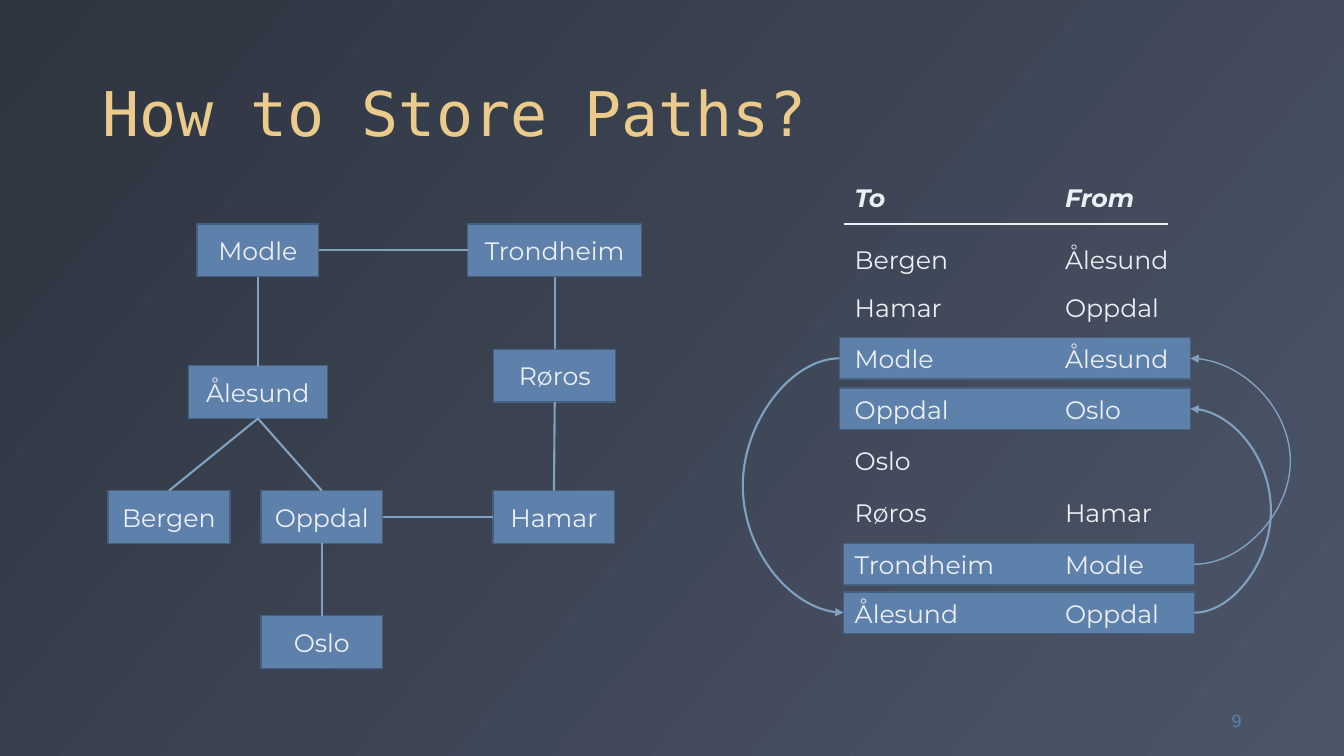
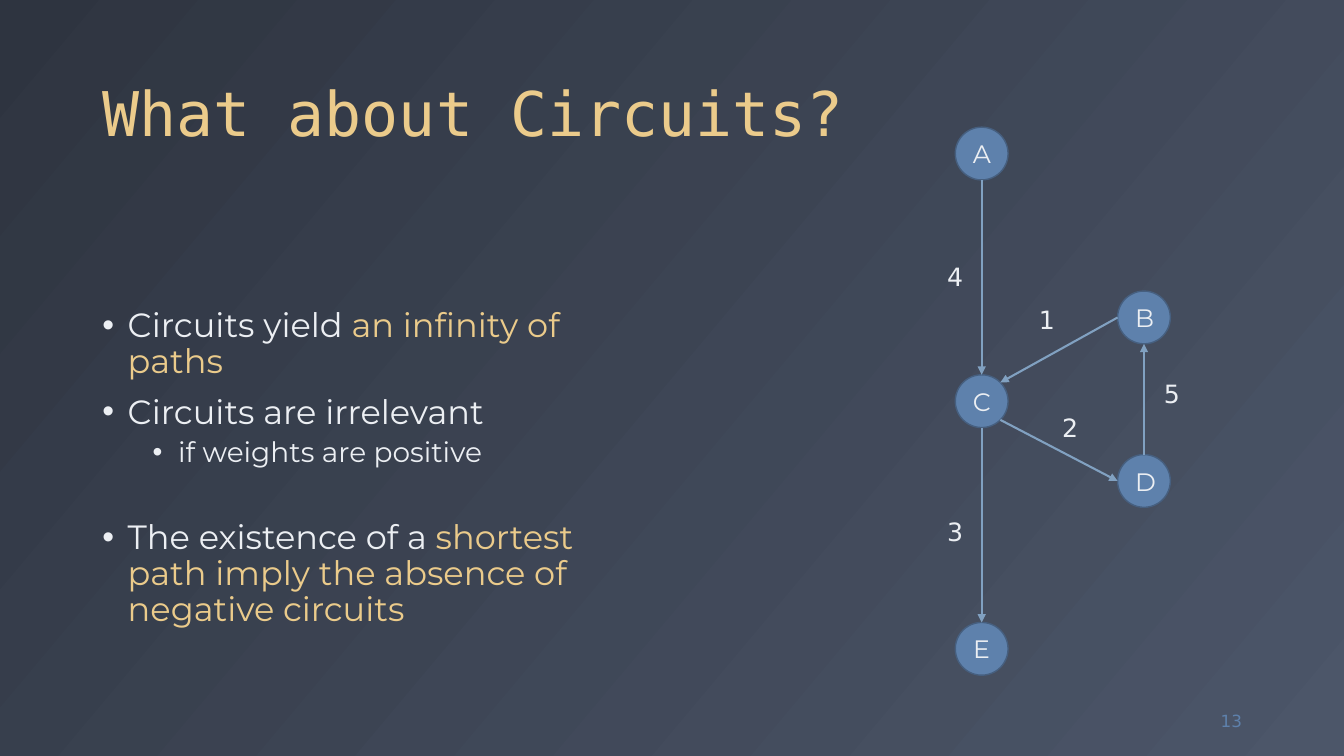
from dataclasses import dataclass
from math import cos, radians, sin

from lxml import etree
from pptx import Presentation
from pptx import util as u
from pptx.dml import color
from pptx.enum import shapes, text
from pptx.oxml import ns

DARK, LIGHT = "2E3440", "4C5669"
BLUE, OUTLINE, SKY = "5E81AC", "465F7F", "81A1C1"
SNOW, GOLD = "ECEFF3", "EBCB8B"
BODY, MONO, SANS = "Montserrat", "DejaVu Sans Mono", "DejaVu Sans"
TOP, LEFT, BOTTOM, RIGHT = range(4)
NODE_HEIGHT = 1.33
RADIUS = NODE_HEIGHT / 2
BAND_WIDTH, BAND_HEIGHT = 8.84, 1.04
COLUMNS = (21.29, 26.59)


@dataclass(frozen=True)
class City:
    name: str
    x: float
    y: float
    width: float = 3.07


@dataclass(frozen=True)
class Link:
    start: str
    start_side: int
    end: str
    end_side: int
    bulge_x: float = 0
    weight: float = 1.5


@dataclass(frozen=True)
class Row:
    top: float
    target: str
    source: str = ""
    band_left: float = 0


@dataclass(frozen=True)
class Arrow:
    start: str
    start_angle: float
    end: str
    end_angle: float
    cost: str
    cost_x: float
    cost_y: float


@dataclass(frozen=True)
class Bullet:
    plain: str
    accent: str = ""
    size: int = 24
    indent: float = 0.64
    before: int = 10


CITIES = (
    City("Modle", 6.5, 6.31),
    City("Ålesund", 6.5, 9.88, 3.51),
    City("Trondheim", 13.98, 6.31, 4.39),
    City("Oppdal", 8.11, 13.03),
    City("Hamar", 13.96, 13.03),
    City("Bergen", 4.26, 13.03),
    City("Oslo", 8.11, 16.18),
    City("Røros", 13.98, 9.47),
)
ROADS = (
    Link("Modle", BOTTOM, "Ålesund", TOP),
    Link("Modle", RIGHT, "Trondheim", LEFT),
    Link("Bergen", TOP, "Ålesund", BOTTOM),
    Link("Oppdal", TOP, "Ålesund", BOTTOM),
    Link("Hamar", LEFT, "Oppdal", RIGHT),
    Link("Oslo", TOP, "Oppdal", BOTTOM),
    Link("Røros", BOTTOM, "Hamar", TOP),
    Link("Trondheim", BOTTOM, "Røros", TOP),
)
ROWS = (
    Row(6.02, "Bergen", "Ålesund"),
    Row(7.24, "Hamar", "Oppdal"),
    Row(8.53, "Modle", "Ålesund", 21.16),
    Row(9.8, "Oppdal", "Oslo", 21.16),
    Row(11.1, "Oslo"),
    Row(12.4, "Røros", "Hamar"),
    Row(13.72, "Trondheim", "Modle", 21.26),
    Row(14.94, "Ålesund", "Oppdal", 21.26),
)
LOOKUPS = (
    Link("Trondheim", RIGHT, "Modle", RIGHT, 32.52, 1),
    Link("Modle", LEFT, "Ålesund", LEFT, 18.72),
    Link("Ålesund", RIGHT, "Oppdal", RIGHT, 32.03),
)
VERTICES = {
    "A": (24.74, 3.87),
    "C": (24.74, 10.11),
    "E": (24.74, 16.35),
    "D": (28.83, 12.12),
    "B": (28.83, 8),
}
ARROWS = (
    Arrow("A", 90, "C", -90, "4", 23.62, 6.45),
    Arrow("C", 90, "E", -90, "3", 23.62, 12.88),
    Arrow("C", 45, "D", 180, "2", 26.52, 10.26),
    Arrow("D", -90, "B", 90, "5", 29.08, 9.42),
    Arrow("B", 180, "C", -45, "1", 25.93, 7.54),
)
BULLETS = (
    Bullet("Circuits yield ", "an infinity of paths", before=0),
    Bullet("Circuits are irrelevant"),
    Bullet("if weights are positive", size=20, indent=1.91, before=5),
    Bullet("The existence of a ", "shortest path imply the absence of negative circuits", before=37),
)


def rgb(value: str) -> color.RGBColor:
    return color.RGBColor.from_string(value)


def add_span(para, words: str, *, size=18, font=BODY, tint=SNOW, strong=False) -> None:
    span = para.add_run()
    span.text = words
    span.font.size = u.Pt(size)
    span.font.name = font
    span.font.color.rgb = rgb(tint)
    if strong:
        span.font.bold = span.font.italic = True


def add_box(page, left, top, width, height, anchor=text.MSO_ANCHOR.TOP):
    box = page.shapes.add_textbox(u.Cm(left), u.Cm(top), u.Cm(width), u.Cm(height))
    box.text_frame.word_wrap = True
    box.text_frame.vertical_anchor = anchor
    return box.text_frame


def add_label(page, words: str, left: float, top: float, width=4.6, **style) -> None:
    frame = add_box(page, left, top, width, 1.02)
    add_span(frame.paragraphs[0], words, **style)


def add_block(page, kind, left, top, width, height, words=""):
    block = page.shapes.add_shape(kind, u.Cm(left), u.Cm(top), u.Cm(width), u.Cm(height))
    block.shadow.inherit = False
    block.fill.solid()
    block.fill.fore_color.rgb = rgb(BLUE)
    block.line.color.rgb = rgb(OUTLINE)
    block.line.width = u.Pt(1)
    if words:
        block.text_frame.vertical_anchor = text.MSO_ANCHOR.MIDDLE
        para = block.text_frame.paragraphs[0]
        para.alignment = text.PP_ALIGN.CENTER
        add_span(para, words)
    return block


def add_line(page, start=(0, 0), end=(0, 0), *, kind=shapes.MSO_CONNECTOR.STRAIGHT,
             tint=SKY, weight=1.5, arrow=False):
    line = page.shapes.add_connector(kind, *(u.Cm(value) for value in (*start, *end)))
    line.line.color.rgb = rgb(tint)
    line.line.width = u.Pt(weight)
    if arrow:
        etree.SubElement(line.line._get_or_add_ln(), ns.qn("a:tailEnd"), type="triangle")
    etree.SubElement(line._element.spPr, ns.qn("a:effectLst"))
    return line


def add_link(page, link: Link, blocks: dict) -> None:
    kind = shapes.MSO_CONNECTOR.CURVE if link.bulge_x else shapes.MSO_CONNECTOR.STRAIGHT
    line = add_line(page, kind=kind, weight=link.weight, arrow=bool(link.bulge_x))
    line.begin_connect(blocks[link.start], link.start_side)
    line.end_connect(blocks[link.end], link.end_side)
    if link.bulge_x:
        ratio = (u.Cm(link.bulge_x) - line.begin_x) / (line.end_x - line.begin_x)
        guides = line._element.spPr.find(".//" + ns.qn("a:avLst"))
        etree.SubElement(guides, ns.qn("a:gd"), name="adj1", fmla=f"val {round(ratio * 100000)}")


def add_page(deck, title: str, number: int):
    page = deck.slides.add_slide(deck.slide_layouts[6])
    para = add_box(page, 2.33, 0.46, 29.21, 3.45, text.MSO_ANCHOR.BOTTOM).paragraphs[0]
    para.line_spacing = 0.9
    add_span(para, title, size=44, font=MONO, tint=GOLD)
    para = add_box(page, 29.44, 17.65, 2.11, 1.02, text.MSO_ANCHOR.MIDDLE).paragraphs[0]
    para.alignment = text.PP_ALIGN.RIGHT
    add_span(para, str(number), size=12, font=SANS, tint=BLUE)
    return page


def paint_background(deck) -> None:
    fill = deck.slide_master.background.fill
    fill.gradient()
    fill.gradient_angle = 320
    for stop, tint, position in zip(fill.gradient_stops, (DARK, LIGHT), (0, 1)):
        stop.color.rgb = rgb(tint)
        stop.position = position


def add_paths_page(deck) -> None:
    page = add_page(deck, "How to Store Paths?", 9)
    rectangle = shapes.MSO_SHAPE.RECTANGLE
    cities = {
        city.name: add_block(page, rectangle, city.x - city.width / 2, city.y - NODE_HEIGHT / 2,
                             city.width, NODE_HEIGHT, city.name)
        for city in CITIES
    }
    for road in ROADS:
        add_link(page, road, cities)
    bands = {
        row.target: add_block(page, rectangle, row.band_left, row.top - 0.02, BAND_WIDTH, BAND_HEIGHT)
        for row in ROWS if row.band_left
    }
    for left, heading in zip(COLUMNS, ("To", "From")):
        add_label(page, heading, left, 4.46, strong=True)
    add_line(page, (21.26, 5.64), (29.44, 5.64), tint=SNOW, weight=1)
    for row in ROWS:
        for left, name in zip(COLUMNS, (row.target, row.source)):
            if name:
                add_label(page, name, left, row.top)
    for lookup in LOOKUPS:
        add_link(page, lookup, bands)


def rim_point(vertex: str, angle: float) -> tuple[float, float]:
    x, y = VERTICES[vertex]
    return x + RADIUS * cos(radians(angle)), y + RADIUS * sin(radians(angle))


def add_bullets(page) -> None:
    frame = add_box(page, 2.33, 7.65, 14.17, 8.6)
    for index, bullet in enumerate(BULLETS):
        para = frame.add_paragraph() if index else frame.paragraphs[0]
        layout = para._p.get_or_add_pPr()
        layout.set("marL", str(u.Cm(bullet.indent)))
        layout.set("indent", str(u.Cm(-0.64)))
        etree.SubElement(layout, ns.qn("a:buFont"), typeface="Arial")
        etree.SubElement(layout, ns.qn("a:buChar"), char="•")
        para.line_spacing = 0.9
        para.space_before = u.Pt(bullet.before)
        add_span(para, bullet.plain, size=bullet.size)
        if bullet.accent:
            add_span(para, bullet.accent, size=bullet.size, tint=GOLD)


def add_circuits_page(deck) -> None:
    page = add_page(deck, "What about Circuits?", 13)
    add_bullets(page)
    for name, (x, y) in VERTICES.items():
        add_block(page, shapes.MSO_SHAPE.OVAL, x - RADIUS, y - RADIUS, NODE_HEIGHT, NODE_HEIGHT, name)
    for arrow in ARROWS:
        add_line(page, rim_point(arrow.start, arrow.start_angle),
                 rim_point(arrow.end, arrow.end_angle), arrow=True)
        add_label(page, arrow.cost, arrow.cost_x, arrow.cost_y, 1.2, font=SANS)


def main() -> None:
    deck = Presentation()
    deck.slide_width, deck.slide_height = u.Cm(33.87), u.Cm(19.05)
    paint_background(deck)
    add_paths_page(deck)
    add_circuits_page(deck)
    deck.save("out.pptx")


if __name__ == "__main__":
    main()
